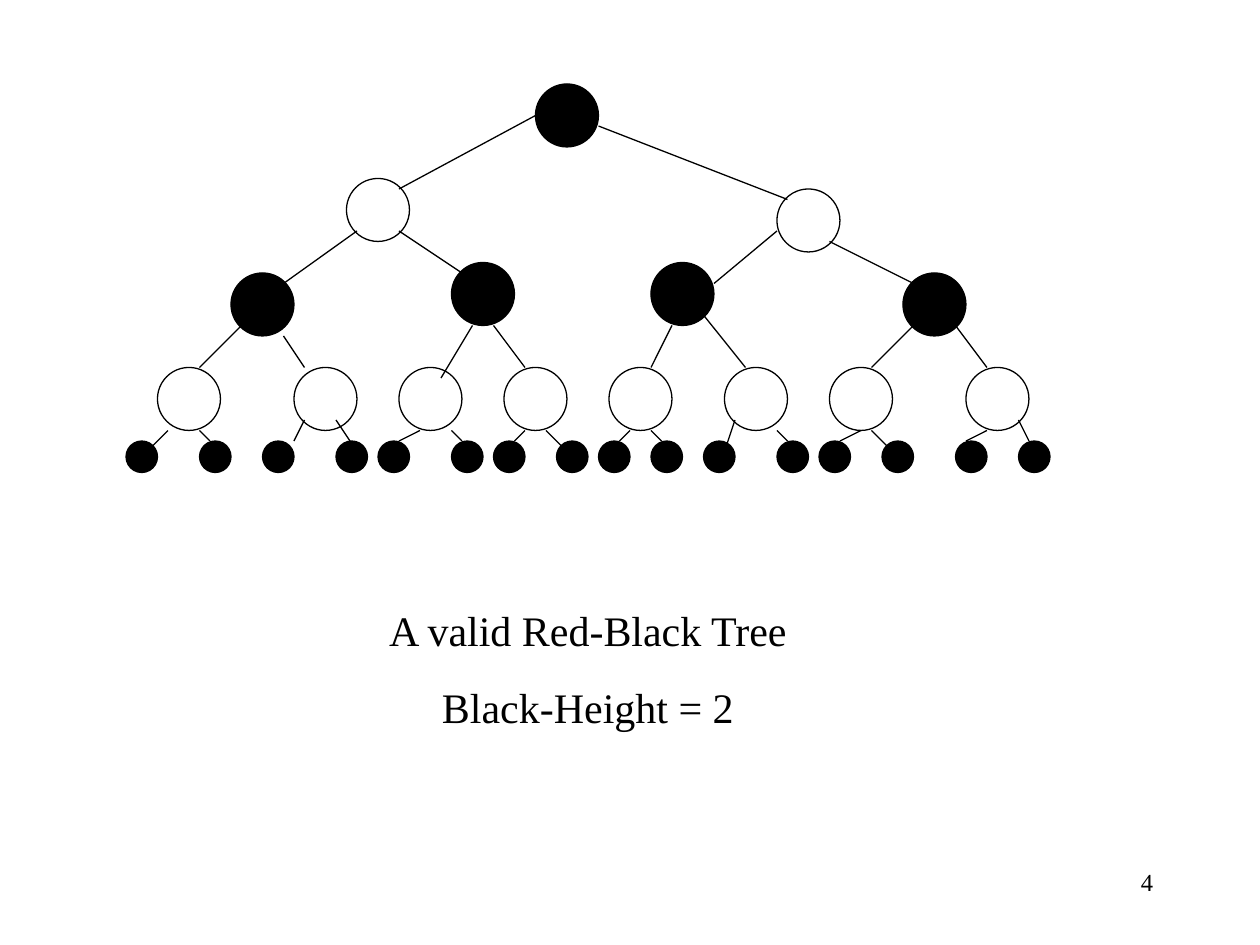
from typing import NamedTuple

from pptx import Presentation
from pptx.dml.color import RGBColor
from pptx.enum.shapes import MSO_CONNECTOR as Conn, MSO_SHAPE as Shape
from pptx.enum.text import MSO_ANCHOR as Anchor, PP_ALIGN as Align
from pptx.oxml.ns import qn
from pptx.util import Pt
from lxml.etree import SubElement

PX = 9525  # EMU in one px, 96 px to the inch
BLACK = RGBColor(0, 0, 0)
WHITE = RGBColor(255, 255, 255)
THIN = Pt(0.75)
NODE, LEAF = 48, 24


class Node(NamedTuple):
    left: int
    top: int
    size: int
    fill: RGBColor


class Edge(NamedTuple):
    x1: int
    y1: int
    x2: int
    y2: int


class Note(NamedTuple):
    left: int
    top: int
    width: int
    height: int
    lines: tuple[str, ...]
    size: int
    align: Align


INNER = [
    Node(408, 64, NODE, BLACK),
    Node(264, 136, NODE, WHITE),
    Node(592, 144, NODE, WHITE),
    Node(176, 208, NODE, BLACK),
    Node(344, 200, NODE, BLACK),
    Node(496, 200, NODE, BLACK),
    Node(688, 208, NODE, BLACK),
]
LOW = [Node(x, 280, NODE, WHITE)
       for x in (120, 224, 304, 384, 464, 552, 632, 736)]
LEAVES = [Node(x, 336, LEAF, BLACK)
          for x in (96, 152, 200, 256, 288, 344, 376, 424,
                    456, 496, 536, 592, 624, 672, 728, 776)]

EDGES = [
    # root to second level
    Edge(408, 88, 304, 144), Edge(456, 96, 600, 152),
    # second to third level
    Edge(272, 176, 216, 216), Edge(304, 176, 352, 208),
    Edge(592, 176, 544, 216), Edge(632, 184, 696, 216),
    # third to fourth level
    Edge(184, 248, 152, 280), Edge(216, 256, 232, 280),
    Edge(360, 248, 336, 288), Edge(376, 248, 400, 280),
    Edge(512, 248, 496, 280), Edge(536, 240, 568, 280),
    Edge(696, 248, 664, 280), Edge(728, 248, 752, 280),
    # fourth level to leaves
    Edge(128, 328, 112, 344), Edge(152, 328, 160, 336),
    Edge(232, 320, 224, 336), Edge(256, 320, 272, 344),
    Edge(320, 328, 304, 336), Edge(344, 328, 352, 336),
    Edge(400, 328, 392, 336), Edge(416, 328, 432, 344),
    Edge(480, 328, 472, 336), Edge(496, 328, 504, 336),
    Edge(560, 320, 552, 344), Edge(592, 328, 600, 336),
    Edge(656, 328, 640, 336), Edge(664, 328, 680, 344),
    Edge(752, 328, 736, 336), Edge(776, 320, 784, 336),
]

NOTES = [
    Note(136, 456, 624, 107,
         ("A valid Red-Black Tree", "Black-Height = 2"), 24, Align.CENTER),
    Note(688, 656, 200, 48, ("4",), 14, Align.RIGHT),
]


def ink(line) -> None:
    line.color.rgb = BLACK
    line.width = THIN


def draw_node(shapes, node: Node) -> None:
    box = (node.left, node.top, node.size, node.size)
    dot = shapes.add_shape(Shape.OVAL, *(v * PX for v in box))
    dot.shadow.inherit = False
    dot.fill.solid()
    dot.fill.fore_color.rgb = node.fill
    ink(dot.line)


def draw_edge(shapes, edge: Edge) -> None:
    link = shapes.add_connector(Conn.STRAIGHT, *(v * PX for v in edge))
    ink(link.line)
    SubElement(link._element.spPr, qn("a:effectLst"))


def draw_note(shapes, note: Note) -> None:
    frame = shapes.add_textbox(*(v * PX for v in note[:4])).text_frame
    frame.word_wrap = True
    frame.vertical_anchor = Anchor.TOP
    form = {"name": "Times New Roman", "size": Pt(note.size)}
    for i, text in enumerate(note.lines):
        para = frame.add_paragraph() if i else frame.paragraphs[0]
        para.alignment = note.align
        if i:
            para.space_before = Pt(15)
        run = para.add_run()
        run.text = text
        for key, value in form.items():
            setattr(run.font, key, value)
        run.font.color.rgb = BLACK


def main() -> None:
    deck = Presentation()
    deck.slide_width, deck.slide_height = 960 * PX, 720 * PX
    shapes = deck.slides.add_slide(deck.slide_layouts[6]).shapes
    for node in INNER + LOW + LEAVES:
        draw_node(shapes, node)
    for edge in EDGES:
        draw_edge(shapes, edge)
    for note in NOTES:
        draw_note(shapes, note)
    deck.save("out.pptx")


if __name__ == "__main__":
    main()
